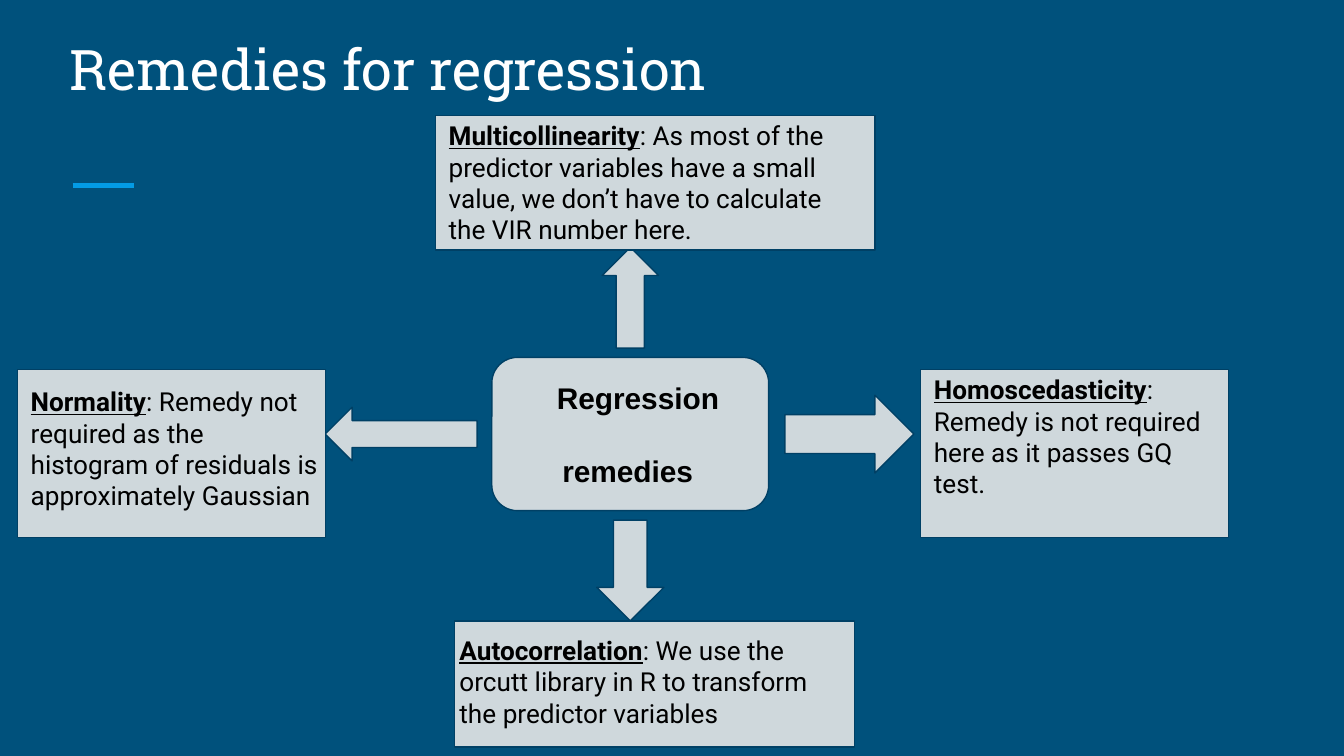
import pptx
import pptx.util
import pptx.dml.color
import pptx.enum.shapes
import pptx.enum.text
import pptx.oxml
import pptx.oxml.ns

Inches = pptx.util.Inches
Pt = pptx.util.Pt
RGBColor = pptx.dml.color.RGBColor
Shape = pptx.enum.shapes.MSO_SHAPE
Anchor = pptx.enum.text.MSO_ANCHOR

NAVY = RGBColor(0x00, 0x51, 0x7C)
OUTLINE = RGBColor(0x00, 0x40, 0x65)
GREY = RGBColor(0xCF, 0xD8, 0xDC)
ACCENT = RGBColor(0x03, 0x9B, 0xE5)
WHITE = RGBColor(0xFF, 0xFF, 0xFF)
BLACK = RGBColor(0x00, 0x00, 0x00)

ARROWS = [
    (Shape.RIGHT_ARROW, (5.84, 2.94, 0.96, 0.58)),
    (Shape.LEFT_ARROW, (2.42, 3.03, 1.13, 0.4)),
    (Shape.DOWN_ARROW, (4.44, 3.87, 0.5, 0.75)),
    (Shape.UP_ARROW, (4.48, 1.84, 0.42, 0.75)),
]
REMEDIES = [
    ("Normality",
     ": Remedy not required as the histogram of residuals is approximately Gaussian",
     (0.13, 2.75, 2.29, 1.25), (0.13, 2.77, 2.4, 1.14)),
    ("Homoscedasticity",
     ": Remedy is not required here as it passes GQ test.",
     (6.85, 2.75, 2.29, 1.25), (6.85, 2.68, 2.29, 1.14)),
    ("Autocorrelation",
     ": We use the orcutt library in R to transform the predictor variables",
     (3.38, 4.62, 2.98, 0.94), (3.32, 4.62, 2.91, 0.91)),
    ("Multicollinearity",
     ": As most of the predictor variables have a small value, "
     "we don\u2019t have to calculate the VIR number here.",
     (3.24, 0.86, 3.27, 1), (3.24, 0.79, 3.27, 1.14)),
]


def style_span(span, font, size, color, bold=False, underline=False):
    span.font.name = font
    span.font.size = Pt(size)
    span.font.color.rgb = color
    span.font.bold = bold
    span.font.underline = underline


def prepare_frame(frame, anchor):
    frame.word_wrap = True
    frame.vertical_anchor = anchor
    frame.margin_left = frame.margin_right = Inches(0.1)
    frame.margin_top = frame.margin_bottom = Inches(0.1)


def add_block(page, kind, area):
    block = page.shapes.add_shape(kind, *map(Inches, area))
    block.shadow.inherit = False
    block.fill.solid()
    block.fill.fore_color.rgb = GREY
    block.line.color.rgb = OUTLINE
    block.line.width = Pt(0.75)
    return block


def add_text(page, area, anchor=Anchor.TOP):
    box = page.shapes.add_textbox(*map(Inches, area))
    prepare_frame(box.text_frame, anchor)
    return box.text_frame.paragraphs[0]


def add_title(page):
    para = add_text(page, (0.42, 0.11, 9.15, 0.75), Anchor.BOTTOM)
    para.text = "Remedies for regression"
    style_span(para.runs[0], "Roboto Slab", 30, WHITE)


def add_accent(page):
    accent = page.shapes.add_connector(
        pptx.enum.shapes.MSO_CONNECTOR.STRAIGHT,
        Inches(0.54), Inches(1.38), Inches(1), Inches(1.38))
    accent.line.color.rgb = ACCENT
    accent.line.width = Pt(3)
    properties = accent.element.find(pptx.oxml.ns.qn("p:spPr"))
    properties.append(pptx.oxml.parse_xml(
        "<a:effectLst %s/>" % pptx.oxml.ns.nsdecls("a")))


def add_hub(page):
    hub = add_block(page, Shape.ROUNDED_RECTANGLE, (3.66, 2.66, 2.06, 1.14))
    frame = hub.text_frame
    prepare_frame(frame, Anchor.MIDDLE)
    frame.text = "Regression\nremedies"
    for para, indent in zip(frame.paragraphs, (0.33, 0.37)):
        para.alignment = pptx.enum.text.PP_ALIGN.LEFT
        para._p.get_or_add_pPr().set("marL", str(Inches(indent)))
        style_span(para.runs[0], "Arial", 16, BLACK, bold=True)
    frame.paragraphs[1].space_before = Pt(20)


def add_remedy_text(page, heading, advice, area):
    para = add_text(page, area)
    for words, strong in ((heading, True), (advice, False)):
        span = para.add_run()
        span.text = words
        style_span(span, "Roboto", 14, BLACK, strong, strong)


def main():
    deck = pptx.Presentation()
    deck.slide_width = Inches(10)
    deck.slide_height = Inches(10 * 9 / 16)
    page = deck.slides.add_slide(deck.slide_layouts[6])
    page.background.fill.solid()
    page.background.fill.fore_color.rgb = NAVY
    add_accent(page)
    add_title(page)
    add_hub(page)
    for kind, area in ARROWS:
        add_block(page, kind, area)
    for heading, advice, block_area, text_area in REMEDIES:
        add_block(page, Shape.RECTANGLE, block_area)
    for heading, advice, block_area, text_area in REMEDIES:
        add_remedy_text(page, heading, advice, text_area)
    deck.save("out.pptx")


main()
